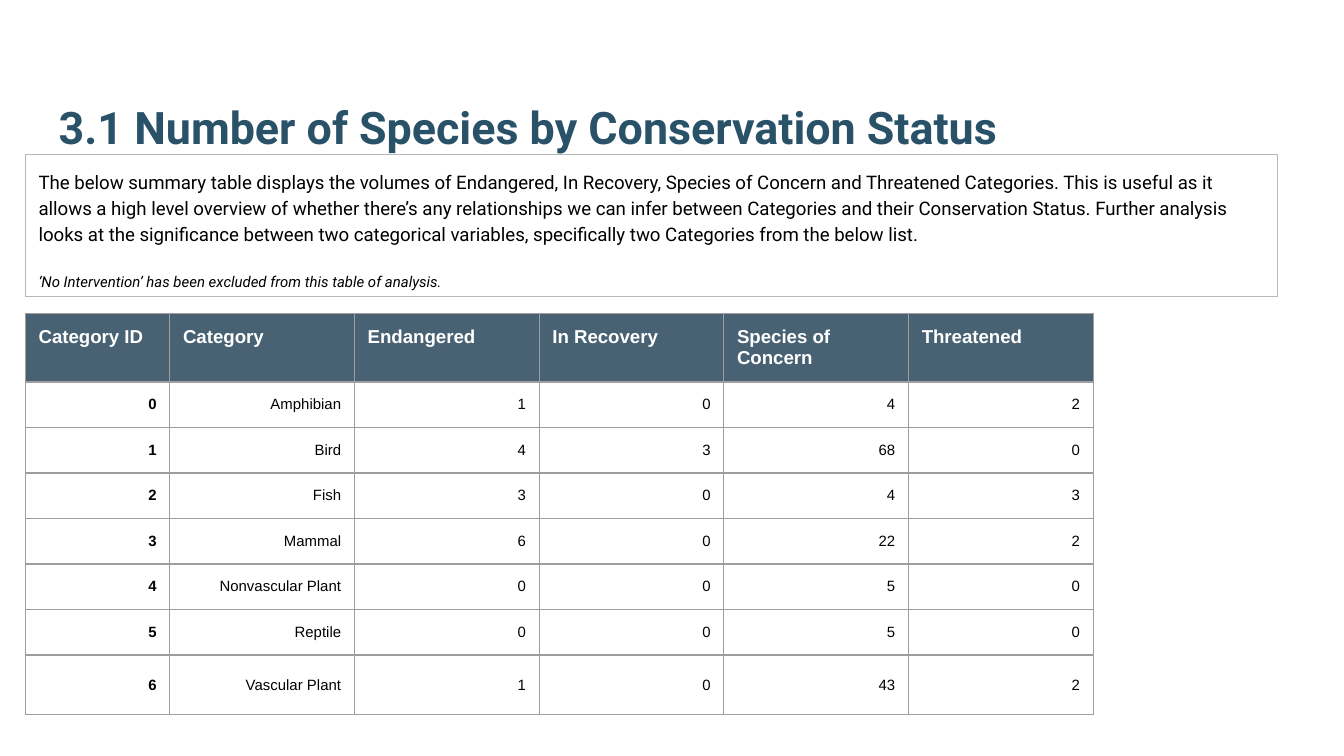
from dataclasses import dataclass

from lxml import etree
from pptx import Presentation
from pptx import util as u
from pptx.dml.color import RGBColor
from pptx.enum import shapes, text
from pptx.oxml import ns


@dataclass(frozen=True)
class Theme:
    title_color: str = "295269"
    text_color: str = "000000"
    header_text: str = "FFFFFF"
    header_fill: str = "204056"
    header_alpha: int = 82000
    frame_color: str = "B7B7B7"
    grid_color: str = "9E9E9E"
    line_width: float = 0.75
    heading_font: str = "Roboto"
    table_font: str = "Arial"
    title_size: int = 24
    body_size: int = 10
    small_size: int = 8


theme = Theme()


def add_span(para, words, font, size, color, bold=False, italic=False):
    span = para.add_run()
    span.text = words
    span.font.name = font
    span.font.size = u.Pt(size)
    span.font.color.rgb = RGBColor.from_string(color)
    span.font.bold = bold
    span.font.italic = italic


def add_borders(cell):
    properties = cell._tc.get_or_add_tcPr()
    for index, side in enumerate(("lnL", "lnR", "lnT", "lnB")):
        line = etree.Element(ns.qn(f"a:{side}"), w=str(u.Pt(theme.line_width)))
        fill = etree.SubElement(line, ns.qn("a:solidFill"))
        etree.SubElement(fill, ns.qn("a:srgbClr"), val=theme.grid_color)
        properties.insert(index, line)


deck = Presentation()
deck.slide_width = u.Cm(25.4)
deck.slide_height = u.Cm(14.29)
page = deck.slides.add_slide(deck.slide_layouts[5])

inset = u.Cm(0.25)
left = u.Cm(0.48)

title = page.shapes.title
title.left, title.top = u.Cm(0.86), u.Cm(0.81)
title.width, title.height = u.Cm(23.67), u.Cm(2.34)

summary = page.shapes.add_shape(
    shapes.MSO_SHAPE.RECTANGLE, left, u.Cm(2.92), u.Cm(23.67), u.Cm(2.69)
)
summary.shadow.inherit = False
summary.fill.background()
summary.line.color.rgb = RGBColor.from_string(theme.frame_color)
summary.line.width = u.Pt(theme.line_width)

for box, anchor in ((title, text.MSO_ANCHOR.BOTTOM), (summary, text.MSO_ANCHOR.TOP)):
    frame = box.text_frame
    frame.word_wrap = True
    frame.auto_size = text.MSO_AUTO_SIZE.NONE
    frame.vertical_anchor = anchor
    frame.margin_left = frame.margin_right = inset
    frame.margin_top = frame.margin_bottom = inset

heading = title.text_frame.paragraphs[0]
heading.alignment = text.PP_ALIGN.LEFT
add_span(heading, "3.1 Number of Species by Conservation Status",
         theme.heading_font, theme.title_size, theme.title_color, bold=True)

intro = summary.text_frame.paragraphs[0]
note = summary.text_frame.add_paragraph()
note.space_before = u.Pt(13.5)
for para in (intro, note):
    para.alignment = text.PP_ALIGN.LEFT
    para.line_spacing = 1.15
add_span(
    intro,
    "The below summary table displays the volumes of Endangered, In Recovery, "
    "Species of Concern and Threatened Categories. This is useful as it allows a "
    "high level overview of whether there’s any relationships we can infer between "
    "Categories and their Conservation Status. Further analysis looks at the "
    "significance between two categorical variables, specifically two Categories "
    "from the below list.",
    theme.heading_font, theme.body_size, theme.text_color,
)
add_span(note, "‘No Intervention’ has been excluded from this table of analysis.",
         theme.heading_font, theme.small_size, theme.text_color, italic=True)

headers = ("Category ID", "Category", "Endangered", "In Recovery",
           "Species of Concern", "Threatened")
species = (
    ("Amphibian", 1, 0, 4, 2),
    ("Bird", 4, 3, 68, 0),
    ("Fish", 3, 0, 4, 3),
    ("Mammal", 6, 0, 22, 2),
    ("Nonvascular Plant", 0, 0, 5, 0),
    ("Reptile", 0, 0, 5, 0),
    ("Vascular Plant", 1, 0, 43, 2),
)
rows = [headers] + [(number, *values) for number, values in enumerate(species)]
column_widths = [2.73] + [3.49] * 5
row_heights = [1.3] + [0.86] * 6 + [1.13]

table = page.shapes.add_table(
    len(rows), len(headers), left, u.Cm(5.92),
    u.Cm(sum(column_widths)), u.Cm(sum(row_heights)),
).table
table.horz_banding = False
for column, width in zip(table.columns, column_widths):
    column.width = u.Cm(width)
for row, height in zip(table.rows, row_heights):
    row.height = u.Cm(height)

for row_index, values in enumerate(rows):
    for column_index, value in enumerate(values):
        cell = table.cell(row_index, column_index)
        para = cell.text_frame.paragraphs[0]
        cell.margin_left = cell.margin_right = inset
        if row_index == 0:
            cell.margin_top = cell.margin_bottom = inset
            cell.fill.solid()
            cell.fill.fore_color.rgb = RGBColor.from_string(theme.header_fill)
            shade = cell._tc.tcPr.find(".//" + ns.qn("a:srgbClr"))
            etree.SubElement(shade, ns.qn("a:alpha"), val=str(theme.header_alpha))
            add_span(para, value, theme.table_font, theme.body_size,
                     theme.header_text, bold=True)
        else:
            cell.fill.background()
            cell.vertical_anchor = text.MSO_ANCHOR.MIDDLE
            para.alignment = text.PP_ALIGN.RIGHT
            add_span(para, str(value), theme.table_font, theme.small_size,
                     theme.text_color, bold=column_index == 0)
        add_borders(cell)

deck.save("out.pptx")
